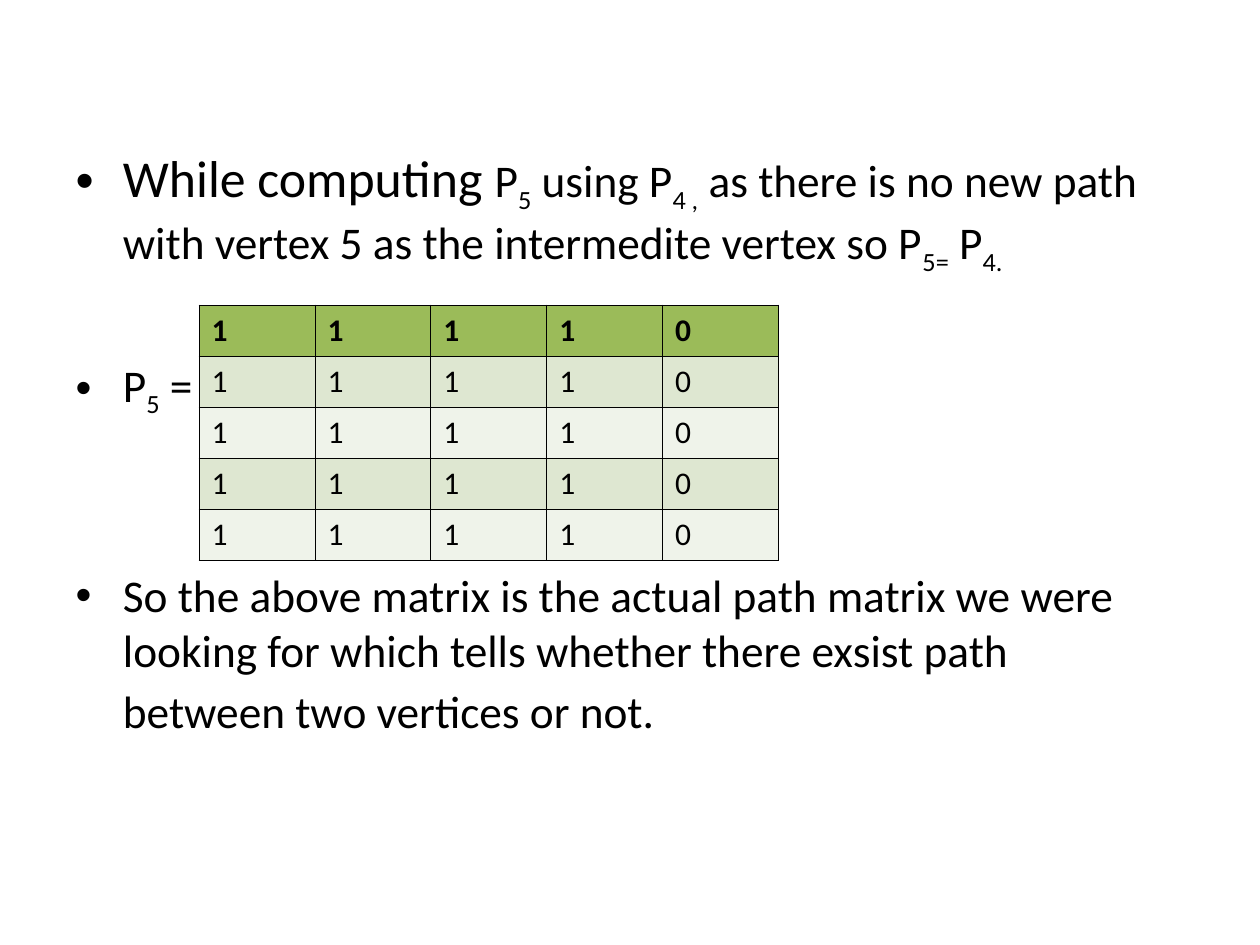
from pptx import Presentation
from pptx.dml.color import RGBColor
from pptx.enum.text import MSO_AUTO_SIZE
from pptx.oxml import parse_xml
from pptx.oxml.ns import nsdecls
from pptx.util import Inches, Pt

COLORS = {"ink": "000000", "head": "9BBB59", "odd": "DEE7D1", "even": "EFF3EA"}
FONT = "Calibri"
BIG, MID, CELL = 29.6, 25.9, 18
SUB = "-25000"

# Each point: space before, then runs of (text, size, is subscript)
POINTS = [
    (0, [
        ("While computing ", BIG, False), ("P", MID, False), ("5", MID, True),
        (" using P", MID, False), ("4 ,", MID, True),
        (" as there is no new path with vertex 5 as the intermedite vertex so P",
         MID, False),
        ("5=", MID, True), (" P", MID, False), ("4.", MID, True),
    ]),
    (46, [("P", MID, False), ("5", MID, True), (" =", MID, False)]),
    (85, [
        ("So the above matrix is the actual path matrix we were looking for "
         "which tells whether there exsist path between two vertices or not.",
         MID, False),
        (" ", BIG, False),
    ]),
]
MATRIX = [[1, 1, 1, 1, 0]] * 5
COL, ROW = 0.92, 0.4


def color(name):
    return RGBColor.from_string(COLORS[name])


def add_run(para, text, size, bold=False):
    run = para.add_run()
    run.text = text
    run.font.name = FONT
    run.font.size = Pt(size)
    run.font.bold = bold
    run.font.color.rgb = color("ink")
    return run


def add_borders(cell):
    props = cell._tc.get_or_add_tcPr()
    for i, side in enumerate(("lnL", "lnR", "lnT", "lnB")):
        props.insert(i, parse_xml(
            f'<a:{side} {nsdecls("a")} w="{Pt(0.45)}"><a:solidFill>'
            f'<a:srgbClr val="{COLORS["ink"]}"/></a:solidFill></a:{side}>'))


def add_points(slide):
    body = slide.placeholders[1]
    body.left, body.top = Inches(0.5), Inches(1.08)
    body.width, body.height = Inches(8.86), Inches(5.49)
    frame = body.text_frame
    frame.word_wrap = True
    frame.auto_size = MSO_AUTO_SIZE.NONE
    frame.margin_top = Inches(0.08)
    for i, (space, runs) in enumerate(POINTS):
        para = frame.add_paragraph() if i else frame.paragraphs[0]
        para.space_before = Pt(space)
        for text, size, sub in runs:
            run = add_run(para, text, size)
            if sub:
                run._r.get_or_add_rPr().set("baseline", SUB)


def add_matrix(slide):
    rows, cols = len(MATRIX), len(MATRIX[0])
    table = slide.shapes.add_table(
        rows, cols, Inches(1.58), Inches(2.42),
        Inches(COL * cols), Inches(ROW * rows)).table
    for r, values in enumerate(MATRIX):
        table.rows[r].height = Inches(ROW)
        fill = "head" if r == 0 else "odd" if r % 2 else "even"
        for c, value in enumerate(values):
            cell = table.cell(r, c)
            cell.fill.solid()
            cell.fill.fore_color.rgb = color(fill)
            add_borders(cell)
            add_run(cell.text_frame.paragraphs[0], str(value), CELL, r == 0)


def main():
    deck = Presentation()
    deck.slide_width, deck.slide_height = Inches(10), Inches(7.5)
    slide = deck.slides.add_slide(deck.slide_layouts[1])
    title = slide.shapes.title._element
    title.getparent().remove(title)
    add_points(slide)
    add_matrix(slide)
    deck.save("out.pptx")


if __name__ == "__main__":
    main()
